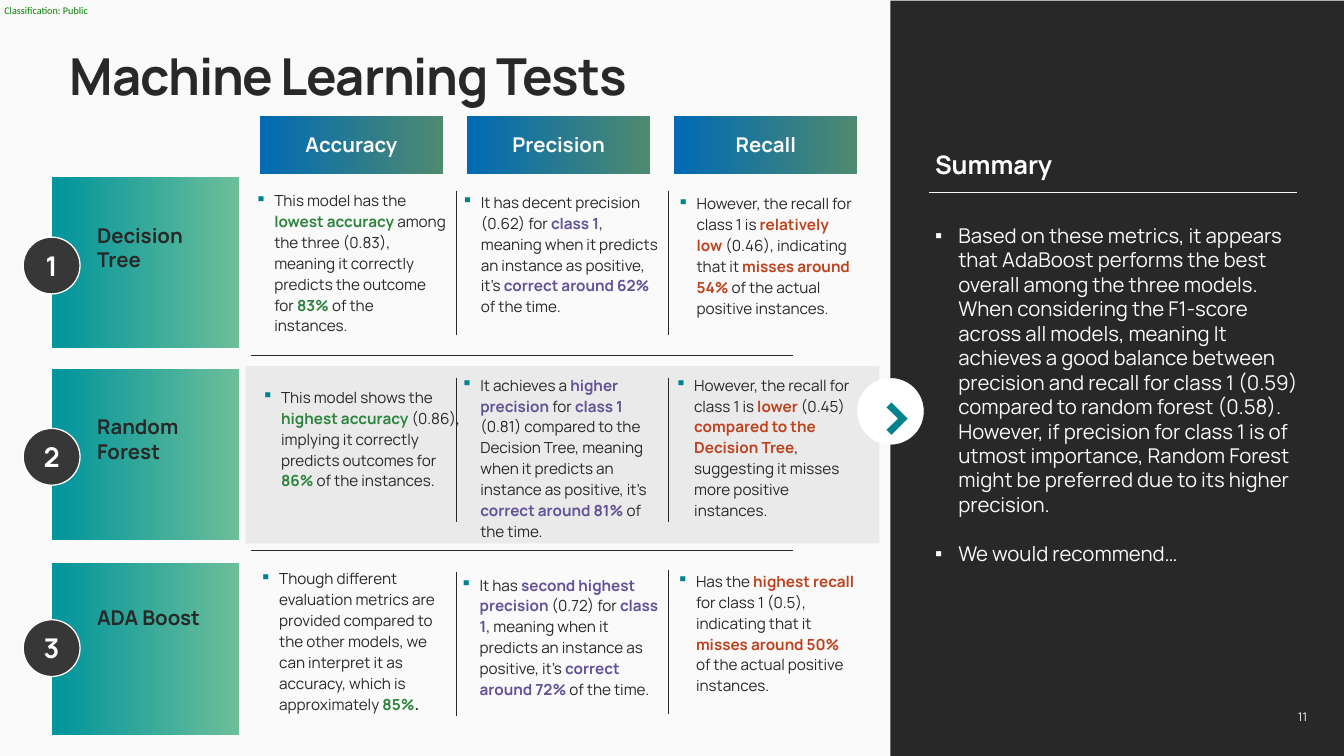
import pptx
import pptx.dml.color
import pptx.enum.shapes
import pptx.enum.text
import pptx.oxml.ns
import pptx.util
from lxml import etree

Inches, Pt = pptx.util.Inches, pptx.util.Pt
RGBColor = pptx.dml.color.RGBColor
Shape = pptx.enum.shapes.MSO_SHAPE
Align = pptx.enum.text.PP_ALIGN
Anchor = pptx.enum.text.MSO_ANCHOR
qn = pptx.oxml.ns.qn

INK = RGBColor(0x28, 0x28, 0x28)
PAPER = RGBColor(0xFA, 0xFA, 0xFA)
WHITE = RGBColor(0xFF, 0xFF, 0xFF)
BAND = RGBColor(0xEA, 0xEA, 0xEA)
BADGE = RGBColor(0x38, 0x37, 0x38)
TEAL = RGBColor(0x00, 0x83, 0x8F)
LABEL_GREEN = RGBColor(0x00, 0x80, 0x00)
ROW_GRADIENT = (RGBColor(0x00, 0x94, 0x9C), RGBColor(0x6C, 0xBE, 0x99))
HEADER_GRADIENT = (RGBColor(0x00, 0x6A, 0xB4), RGBColor(0x4E, 0x8A, 0x70))
GREEN = RGBColor(0x2D, 0x84, 0x3F)
PURPLE = RGBColor(0x63, 0x52, 0x97)
RED = RGBColor(0xBD, 0x43, 0x1F)

# In cell text "|" parts the spans; "*" opens a coloured bold span, "+" a plain bold one.
# Each metric: name, emphasis colour, cells as (left, top, width, text).
METRICS = [
    ("Accuracy", GREEN, [
        (4.08, 3.04, 3.34, "This model has the |*lowest accuracy |among the three (0.83), meaning it "
         "correctly predicts the outcome for |*83%| of the instances."),
        (4.19, 6.26, 3.51, "This model shows the |*highest accuracy |(0.86), implying it correctly "
         "predicts outcomes for |*86%| of the instances."),
        (4.16, 9.23, 3.26, "Though different evaluation metrics are provided compared to the other "
         "models, we can interpret it as accuracy, which is approximately |*85%|+."),
    ]),
    ("Precision", PURPLE, [
        (7.46, 3.07, 3.51, "It has decent precision (0.62) for |*class 1|, meaning when it predicts "
         "an instance as positive, it’s |*correct around 62%| of the time."),
        (7.45, 6.06, 3.51, "It achieves a |*higher precision| for |*class 1| (0.81) compared to the "
         "Decision Tree, meaning when it predicts an instance as positive, it's "
         "|*correct around 81% |of the time."),
        (7.44, 9.33, 3.51, "It has |*second highest precision |(0.72) for |*class 1|, meaning when it "
         "predicts an instance as positive, it’s |*correct around 72%| of the time."),
    ]),
    ("Recall", RED, [
        (10.99, 3.09, 3.14, "However, the recall for class 1 is |*relatively low |(0.46), indicating "
         "that it |*misses around 54% |of the actual positive instances."),
        (10.95, 6.06, 3.19, "However, the recall for class 1 is |*lower| (0.45) "
         "|*compared to the Decision Tree|, suggesting it misses more positive instances."),
        (10.98, 9.27, 3.14, "Has the |*highest recall |for class 1 (0.5), indicating that it "
         "|*misses around 50% |of the actual positive instances."),
    ]),
]
MODELS = [("Decision Tree", 2.89), ("Random Forest", 6.03), ("ADA Boost", 9.21)]
SUMMARY = [
    "Based on these metrics, it appears that AdaBoost performs the best overall among the three "
    "models. When considering the F1-score across all models, meaning It achieves a good balance "
    "between precision and recall for class 1 (0.59) compared to random forest (0.58). However, if "
    "precision for class 1 is of utmost importance, Random Forest might be preferred due to its "
    "higher precision.",
    "We would recommend…",
]
ROW_PITCH = 3.13
HEADER_PITCH = 3.39
COLUMN_RULES = [(7.47, (3.12, 6.18, 9.36)), (10.94, (3.12, 6.18, 9.32))]
RULE_HEIGHT = 2.36
ROW_RULES = (5.82, 9.01)

deck = pptx.Presentation()
deck.slide_width, deck.slide_height = Inches(21.99), Inches(12.37)
page = deck.slides.add_slide(deck.slide_layouts[1])
page.background.fill.solid()
page.background.fill.fore_color.rgb = PAPER


def place(box, left, top, width, height):
    box.left, box.top, box.width, box.height = map(Inches, (left, top, width, height))
    return box


def write(box, text, size=24, color=INK, bold=False, emphasis=INK, font="Manrope", align=Align.LEFT,
          anchor=Anchor.TOP, inset=None, wrap=True, bullet=None, indent=0, leading=1.0, gap=0):
    """Fill a box with one string or a list of paragraphs, with "|" between spans."""
    frame = box.text_frame
    frame.word_wrap = wrap
    frame.auto_size = pptx.enum.text.MSO_AUTO_SIZE.NONE
    frame.vertical_anchor = anchor
    if inset is not None:
        frame.margin_left = frame.margin_top = frame.margin_right = frame.margin_bottom = Inches(inset)
    for index, line in enumerate([text] if isinstance(text, str) else text):
        para = frame.add_paragraph() if index else frame.paragraphs[0]
        if bullet is not None:
            props = para._p.get_or_add_pPr()
            props.set("marL", str(Inches(indent)))
            props.set("indent", str(-Inches(indent)))
            tint = etree.SubElement(props, qn("a:buClr"))
            etree.SubElement(tint, qn("a:srgbClr")).set("val", str(bullet))
            etree.SubElement(props, qn("a:buChar")).set("char", "▪")
        para.alignment = align
        para.line_spacing = leading
        para.space_before = Pt(gap if index else 0)
        for piece in line.split("|"):
            span = para.add_run()
            span.text = piece.lstrip("*+")
            span.font.name, span.font.size = font, Pt(size)
            span.font.bold = bold or piece[0] in "*+"
            span.font.color.rgb = emphasis if piece[0] == "*" else color
    return box


def add_text(left, top, width, height, text, **style):
    box = page.shapes.add_textbox(*map(Inches, (left, top, width, height)))
    return write(box, text, **style)


def add_block(left, top, width, height, fill, kind=Shape.RECTANGLE, line=None):
    """Add a preset shape; a pair of colours makes a left-to-right gradient."""
    block = page.shapes.add_shape(kind, *map(Inches, (left, top, width, height)))
    block.shadow.inherit = False
    if isinstance(fill, RGBColor):
        block.fill.solid()
        block.fill.fore_color.rgb = fill
    else:
        block.fill.gradient()
        block.fill.gradient_angle = 0
        for stop, color in zip(block.fill.gradient_stops, fill):
            stop.color.rgb = color
    if line:
        block.line.color.rgb, block.line.width = WHITE, Pt(line)
    else:
        block.line.fill.background()
    return block


def add_rule(x1, y1, x2, y2, color=INK, width=0.82):
    rule = page.shapes.add_connector(pptx.enum.shapes.MSO_CONNECTOR.STRAIGHT,
                                     *map(Inches, (x1, y1, x2, y2)))
    rule.line.color.rgb, rule.line.width = color, Pt(width)
    etree.SubElement(rule._element.spPr, qn("a:effectLst"))


add_block(4.02, 5.99, 10.37, 2.9, BAND)
add_block(14.57, 0.01, 7.42, 12.36, INK)

# The title and summary placeholders stand above the panels.
title, summary = page.shapes.title, page.placeholders[1]
for holder in (title, summary):
    page.shapes._spTree.append(holder._element)
write(place(title, 1.04, 0.8, 13.15, 1.04), "Machine Learning Tests", size=60, bold=True, leading=0.9)
title.text_frame.paragraphs[0].runs[0].font._element.set("spc", "-140")
write(place(summary, 15.2, 3.6, 6.21, 6), SUMMARY, color=PAPER, bullet=PAPER, indent=0.38, gap=29)

add_text(0.07, 0.07, 1.41, 0.2, "Classification: Public", size=12, color=LABEL_GREEN,
         font="Calibri", inset=0, wrap=False)
add_text(15.2, 2.39, 6.21, 0.76, "Summary", size=30, color=WHITE, bold=True)
add_rule(15.2, 3.14, 21.22, 3.14, PAPER, 0.5)
add_text(16.33, 11.6, 5.06, 0.24, "11", size=14, color=PAPER, align=Align.RIGHT,
         anchor=Anchor.MIDDLE, inset=0)

for row, (model, top) in enumerate(MODELS):
    add_block(0.85, top, 3.06, 2.81, ROW_GRADIENT)
    badge = add_block(0.38, 3.88 + row * ROW_PITCH, 0.93, 0.93, BADGE, Shape.OVAL, 1.5)
    write(badge, str(row + 1), size=32, color=WHITE, bold=True, align=Align.CENTER,
          anchor=Anchor.MIDDLE, inset=0.12)
    add_text(1.49, 3.6 + row * ROW_PITCH, 2.09, 0.52, model, bold=True)

for column, (metric, accent, cells) in enumerate(METRICS):
    header = add_block(4.25 + column * HEADER_PITCH, 1.9, 3, 0.94, HEADER_GRADIENT)
    write(header, metric, color=PAPER, bold=True, align=Align.CENTER, anchor=Anchor.MIDDLE)
    for left, top, width, text in cells:
        add_text(left, top, width, 2.4, text, size=18, emphasis=accent, bullet=TEAL,
                 indent=0.31, leading=1.14)

for x, tops in COLUMN_RULES:
    for top in tops:
        add_rule(x, top, x, top + RULE_HEIGHT)
for y in ROW_RULES:
    add_rule(4.11, y, 12.97, y)

add_block(14.03, 6.19, 1.08, 1.08, WHITE, Shape.OVAL, 0.5)
add_text(14.21, 6.05, 0.81, 1.45, ">", size=80, color=TEAL, bold=True, wrap=False)

deck.save("out.pptx")
